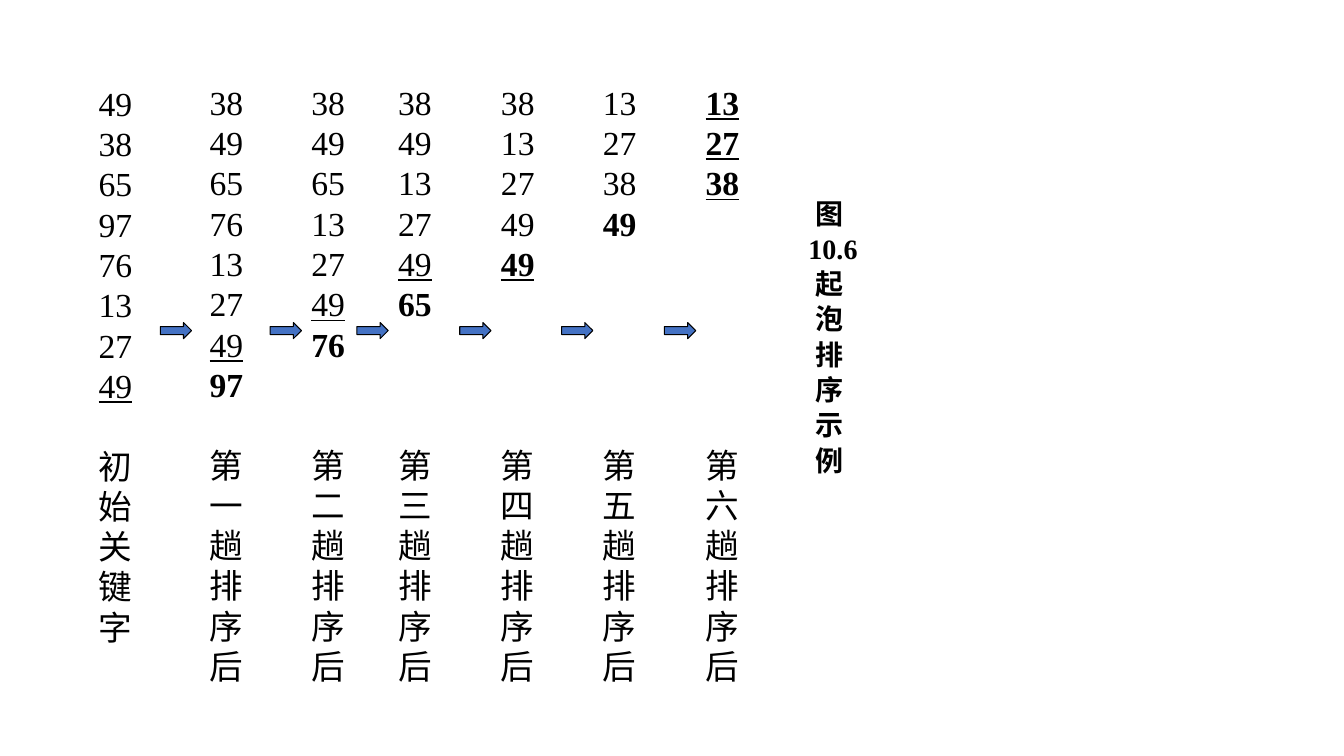
from dataclasses import dataclass

from pptx import Presentation
from pptx import util as u
from pptx.dml.color import RGBColor
from pptx.enum import shapes, text


@dataclass(frozen=True)
class Theme:
    """Colours, font and type sizes."""
    font: str = "Times New Roman"
    ink: RGBColor = RGBColor(0, 0, 0)
    arrow: RGBColor = RGBColor(0x44, 0x72, 0xC4)
    key_size: float = 24
    key_pitch: float = 28.8
    caption_size: float = 20
    caption_pitch: float = 25.2


T = Theme()
LABEL_ROW = 9  # every column label starts on this row
TOP = 0.76

# left, top, keys (* bold, _ underlined), label
COLUMNS = [
    (0.88, 0.77, "49 38 65 97 76 13 27 _49", "初始关键字"),
    (1.98, TOP, "38 49 65 76 13 27 _49 *97", "第一趟排序后"),
    (2.99, TOP, "38 49 65 13 27 _49 *76", "第二趟排序后"),
    (3.85, TOP, "38 49 13 27 _49 *65", "第三趟排序后"),
    (4.87, TOP, "38 13 27 49 *_49", "第四趟排序后"),
    (5.88, TOP, "13 27 38 *49", "第五趟排序后"),
    (6.90, TOP, "*_13 *_27 *_38", "第六趟排序后"),
]
ARROW_LEFTS = [1.59, 2.68, 3.54, 4.56, 5.57, 6.59]
CAPTION = ["图10.6", *"起泡排序示例"]


def add_box(s, left, top, width, height):
    """Add an empty wrapping text box and return its text frame."""
    sp = s.shapes.add_textbox(*map(u.Inches, (left, top, width, height)))
    tf = sp.text_frame
    tf.word_wrap = True
    tf.auto_size = text.MSO_AUTO_SIZE.SHAPE_TO_FIT_TEXT
    return tf


def add_line(tf, words, size, pitch, bold=False, underline=False):
    """Write one paragraph, reusing the empty first one."""
    p = tf.paragraphs[0] if not tf.text else tf.add_paragraph()
    p.font.name = T.font
    p.font.size = u.Pt(size)
    p.font.color.rgb = T.ink
    p.font.bold = bold
    p.font.underline = underline
    p.line_spacing = u.Pt(pitch)
    p.add_run().text = words
    return p


def add_column(s, left, top, keys, label):
    """Add the keys of one pass with the label below them."""
    keys = keys.split()
    rows = LABEL_ROW + len(label)
    tf = add_box(s, left, top, 0.65, 0.1 + rows * T.key_pitch / 72)
    for key in keys:
        add_line(tf, key.strip("*_"), T.key_size, T.key_pitch,
                 bold="*" in key, underline="_" in key)
    p = add_line(tf, label, T.key_size, T.key_pitch)
    p.space_before = u.Pt((LABEL_ROW - len(keys)) * T.key_pitch)


def add_arrow(s, left):
    """Add an arrow leading to the next pass."""
    sp = s.shapes.add_shape(shapes.MSO_SHAPE.RIGHT_ARROW,
                            *map(u.Inches, (left, 3.2, 0.31, 0.16)))
    sp.shadow.inherit = False
    sp.fill.solid()
    sp.fill.fore_color.rgb = T.arrow
    sp.line.color.rgb = T.ink
    sp.line.width = u.Pt(0.75)


def add_caption(s):
    """Add the vertical figure caption, its characters slightly indented."""
    tf = add_box(s, 7.92, 1.88, 0.81, 3)
    for words in CAPTION:
        p = add_line(tf, words, T.caption_size, T.caption_pitch, bold=True)
        p._p.get_or_add_pPr().set("indent", str(u.Inches(0.07)))


def main():
    """Build the bubble sort slide."""
    prs = Presentation()
    prs.slide_width, prs.slide_height = u.Inches(13.33), u.Inches(7.5)
    s = prs.slides.add_slide(prs.slide_layouts[6])
    for column in COLUMNS:
        add_column(s, *column)
    for left in ARROW_LEFTS:
        add_arrow(s, left)
    add_caption(s)
    prs.save("out.pptx")


main()
